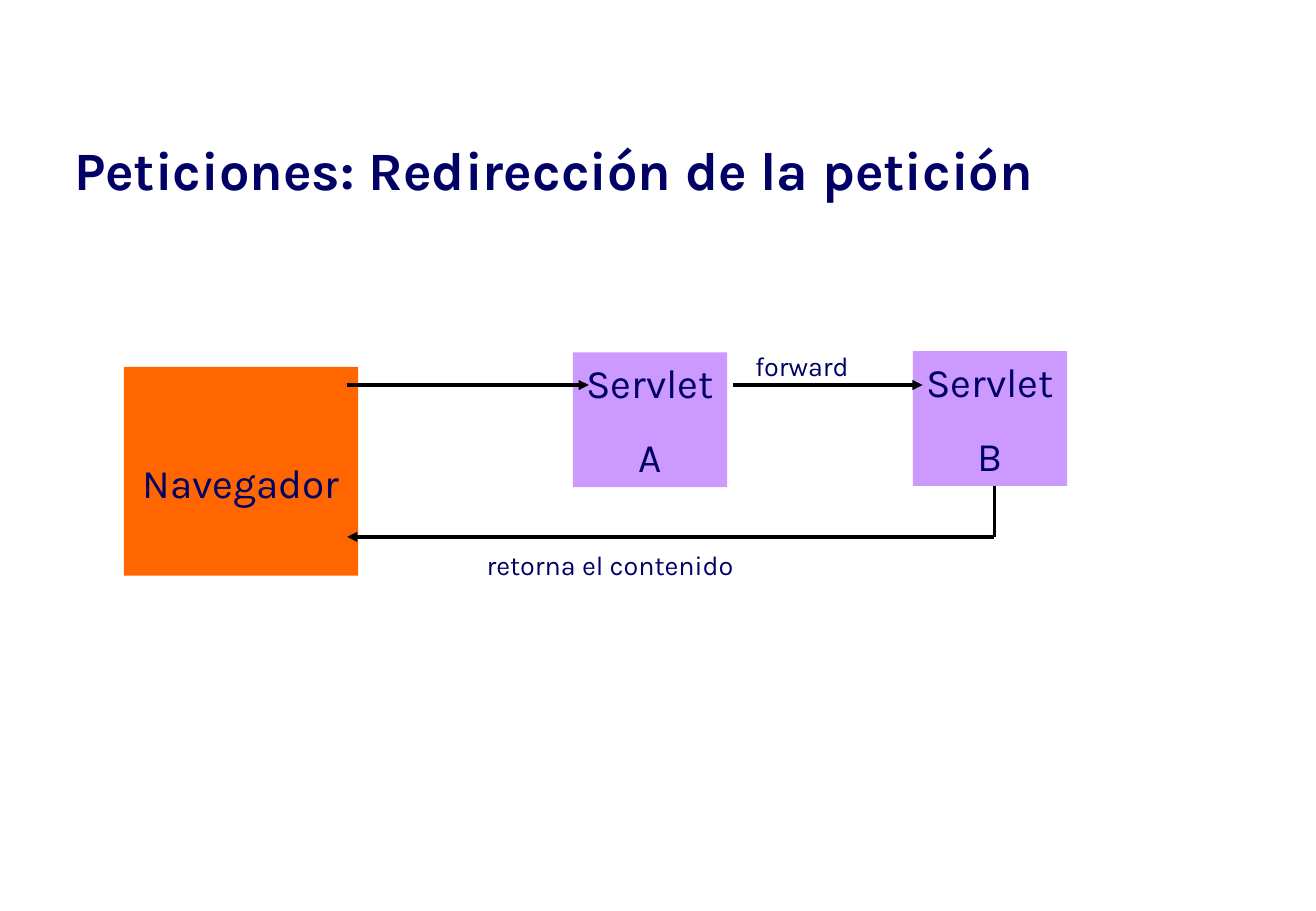
"""Build the slide on forwarding a request between servlets."""
from dataclasses import dataclass

from pptx import Presentation
from pptx.dml.color import RGBColor
from pptx.enum.shapes import MSO_CONNECTOR, MSO_SHAPE
from pptx.enum.text import MSO_ANCHOR, MSO_AUTO_SIZE, PP_ALIGN
from pptx.oxml.ns import qn
from pptx.slide import Slide
from pptx.text.text import TextFrame
from pptx.util import Emu, Pt
from lxml.etree import SubElement

SCALE = 9144
FONT = "Karla"
NAVY = RGBColor(0x00, 0x00, 0x66)
ORANGE = RGBColor(0xFF, 0x66, 0x00)
LILAC = RGBColor(0xCC, 0x99, 0xFF)
BLACK = RGBColor(0x00, 0x00, 0x00)


@dataclass(frozen=True)
class Box:
    lines: tuple[str, ...]
    left: int
    top: int
    width: int
    height: int
    fill: RGBColor
    inset: int = 5


@dataclass(frozen=True)
class Label:
    text: str
    left: int
    top: int
    width: int = 267
    height: int = 37


@dataclass(frozen=True)
class Line:
    start: tuple[int, int]
    end: tuple[int, int]
    arrow: bool = True


BOXES = (
    Box(("Navegador",), 102, 302, 193, 172, ORANGE, inset=23),
    Box(("Servlet", "A"), 472, 290, 127, 111, LILAC),
    Box(("Servlet", "B"), 752, 289, 127, 111, LILAC),
)
LINES = (
    Line((286, 317), (485, 317)),
    Line((819, 400), (819, 442), arrow=False),
    Line((819, 442), (286, 442)),
    Line((604, 317), (760, 317)),
)
LABELS = (
    Label("forward", 527, 283),
    Label("retorna el contenido", 369, 447),
)


def px(*values: int) -> list[Emu]:
    return [Emu(value * SCALE) for value in values]


def write(frame: TextFrame, *lines: str, size: int, bold: bool = False,
          align: PP_ALIGN = PP_ALIGN.CENTER, anchor: MSO_ANCHOR = MSO_ANCHOR.TOP,
          gap: int = 0, wrap: bool = True, side: int = 10, inset: int = 5) -> None:
    frame.auto_size = MSO_AUTO_SIZE.NONE
    frame.word_wrap = wrap
    frame.vertical_anchor = anchor
    frame.margin_left, frame.margin_right = px(side, side)
    frame.margin_top, frame.margin_bottom = px(inset, 5)
    for index, line in enumerate(lines):
        para = frame.add_paragraph() if index else frame.paragraphs[0]
        para.alignment = align
        para.space_before = Pt(gap if index else 0)
        run = para.add_run()
        run.text = line
        font = run.font
        font.name, font.size, font.bold = FONT, Pt(size), bold
        font.color.rgb = NAVY


def draw_box(slide: Slide, box: Box) -> None:
    shape = slide.shapes.add_shape(
        MSO_SHAPE.RECTANGLE, *px(box.left, box.top, box.width, box.height))
    shape.shadow.inherit = False
    shape.fill.solid()
    shape.fill.fore_color.rgb = box.fill
    shape.line.fill.background()
    write(shape.text_frame, *box.lines, size=24, gap=15, wrap=False,
          anchor=MSO_ANCHOR.MIDDLE, inset=box.inset)


def draw_line(slide: Slide, line: Line) -> None:
    link = slide.shapes.add_connector(
        MSO_CONNECTOR.STRAIGHT, *px(*line.start, *line.end))
    link.line.color.rgb = BLACK
    link.line.width = Pt(2)
    props = link._element.spPr
    if line.arrow:
        SubElement(props.find(qn("a:ln")), qn("a:tailEnd"), type="triangle")
    SubElement(props, qn("a:effectLst"))


def draw_label(slide: Slide, label: Label) -> None:
    text = slide.shapes.add_textbox(
        *px(label.left, label.top, label.width, label.height))
    write(text.text_frame, label.text, size=16)


def main() -> None:
    deck = Presentation()
    deck.slide_width, deck.slide_height = px(1084, 750)
    slide = deck.slides.add_slide(deck.slide_layouts[5])
    title = slide.shapes.title
    title.left, title.top, title.width, title.height = px(56, 76, 973, 95)
    write(title.text_frame, "Peticiones: Redirección de la petición", size=32,
          bold=True, align=PP_ALIGN.LEFT, anchor=MSO_ANCHOR.BOTTOM, side=5)
    for box in BOXES:
        draw_box(slide, box)
    for line in LINES:
        draw_line(slide, line)
    for label in LABELS:
        draw_label(slide, label)
    deck.save("out.pptx")


if __name__ == "__main__":
    main()
